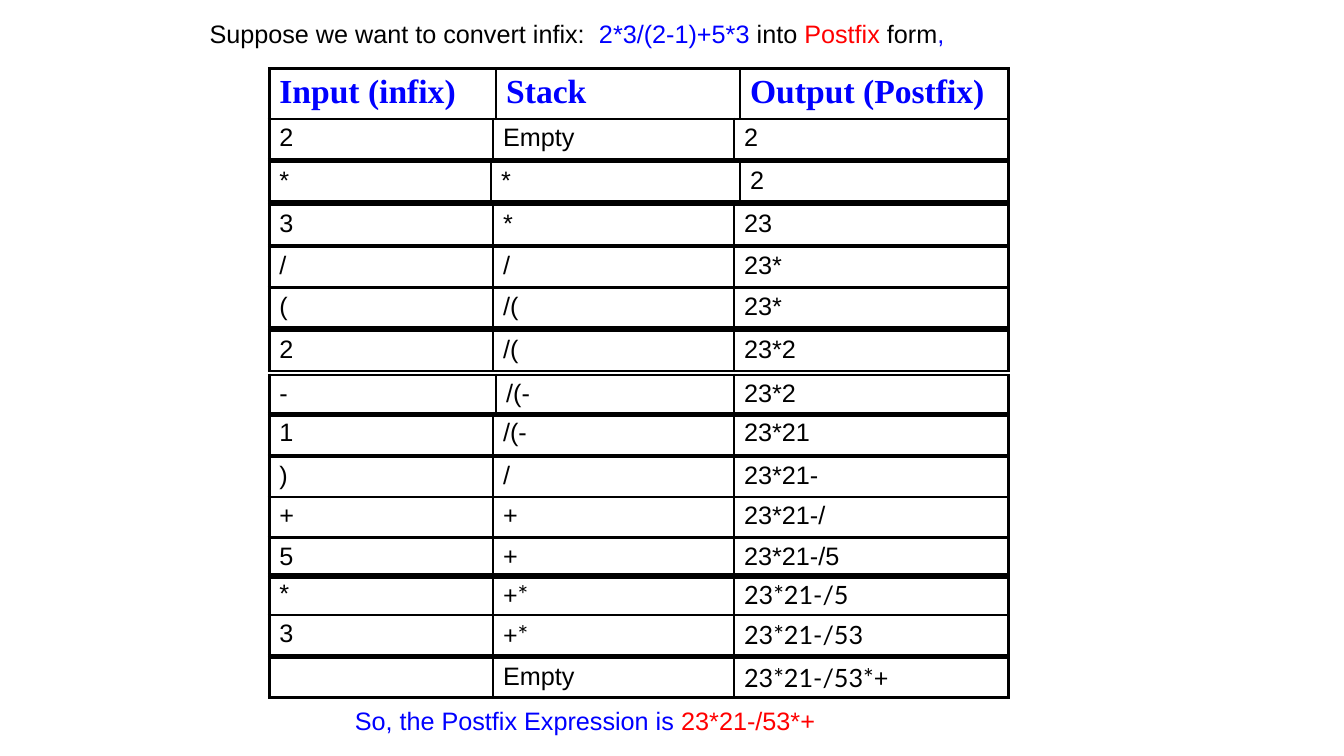
from lxml import etree
from pptx import Presentation
from pptx.dml.color import RGBColor
from pptx.enum import text
from pptx.oxml import ns
from pptx.util import Pt

PX = 9144  # 100 px to the inch
BLACK, BLUE, RED = "000000", "0000FF", "FF0000"

QUESTION = [("Suppose we want to convert infix: ", BLACK), (" 2*3/(2-1)+5*3 ", BLUE),
            ("into ", BLACK), ("Postfix ", RED), ("form", BLACK), (",", BLUE)]
ANSWER = [("So, the Postfix Expression is ", BLUE), ("23*21-/53*+", RED)]
CAPTIONS = [((198, 13, 756, 40), QUESTION), ((342, 695, 481, 40), ANSWER)]

HEADINGS = ("Input (infix)", "Stack", "Output (Postfix)")
STEPS = [  # top, input, stack, output
    (118, "2", "Empty", "2"),
    (160, "*", "*", "2"),
    (203, "3", "*", "23"),
    (245, "/", "/", "23*"),
    (285, "(", "/(", "23*"),
    (328, "2", "/(", "23*2"),
    (372, "-", "/(-", "23*2"),
    (410, "1", "/(-", "23*21"),
    (453, ")", "/", "23*21-"),
    (493, "+", "+", "23*21-/"),
    (533, "5", "+", "23*21-/5"),
    (570, "*", "+*", "23*21-/5"),
    (610, "3", "+*", "23*21-/53"),
    (652, "", "Empty", "23*21-/53*+"),
]
LEFT, WIDTH, ROW_H, HEAD_TOP, HEAD_H = 267, 733, 40, 68, 50
COLS, HEAD_COLS = (222, 239), (225, 242)
ODD_COLS = {160: (220, 247), 372: (225, 236)}  # steps with their own widths
ODD_HEIGHTS = {410: 42}
LATO = {(570, 1), (570, 2), (610, 1), (610, 2), (652, 2)}  # (top, column)
THICK, THIN = 2.25, 1

prs = Presentation()
prs.slide_width, prs.slide_height = 1333 * PX, 750 * PX
slide = prs.slides.add_slide(prs.slide_layouts[6])


def rgb(hex_color):
    return RGBColor.from_string(hex_color)


def add_run(p, words, size=18, font="Arial", color=BLACK, bold=False):
    r = p.add_run()
    r.text = words
    r.font.size, r.font.name, r.font.bold = Pt(size), font, bold
    r.font.color.rgb = rgb(color)


def set_borders(cell, **widths):
    tc_pr = cell._tc.get_or_add_tcPr()
    for side, width in widths.items():
        ln = etree.SubElement(tc_pr, ns.qn(f"a:ln{side}"), w=str(Pt(width)))
        fill = etree.SubElement(ln, ns.qn("a:solidFill"))
        etree.SubElement(fill, ns.qn("a:srgbClr"), val=BLACK)


def add_row(top, height, cols, words, formats):
    widths = (*cols, WIDTH - sum(cols))
    box = (v * PX for v in (LEFT, top, WIDTH, height))
    table = slide.shapes.add_table(1, len(widths), *box).table
    table.first_row = table.horz_banding = False
    last = len(widths) - 1
    for i, width in enumerate(widths):
        table.columns[i].width = width * PX
        cell = table.cell(0, i)
        set_borders(cell, L=THIN if i else THICK, R=THIN if i < last else THICK,
                    T=THICK, B=THICK)
        cell.fill.background()
        if words[i]:
            add_run(cell.text_frame.paragraphs[0], words[i], **formats[i])


# Question and answer lines
for box, runs in CAPTIONS:
    tf = slide.shapes.add_textbox(*(v * PX for v in box)).text_frame
    tf.word_wrap = False
    tf.auto_size = text.MSO_AUTO_SIZE.SHAPE_TO_FIT_TEXT
    tf.vertical_anchor = text.MSO_ANCHOR.MIDDLE
    for words, color in runs:
        add_run(tf.paragraphs[0], words, color=color)

# Heading row
heading = dict(size=24, font="Times New Roman", color=BLUE, bold=True)
add_row(HEAD_TOP, HEAD_H, HEAD_COLS, HEADINGS, [heading] * 3)

# One table per conversion step
for top, *words in STEPS:
    formats = [dict(font="Lato" if (top, i) in LATO else "Arial") for i in range(3)]
    add_row(top, ODD_HEIGHTS.get(top, ROW_H), ODD_COLS.get(top, COLS), words, formats)

prs.save("out.pptx")
